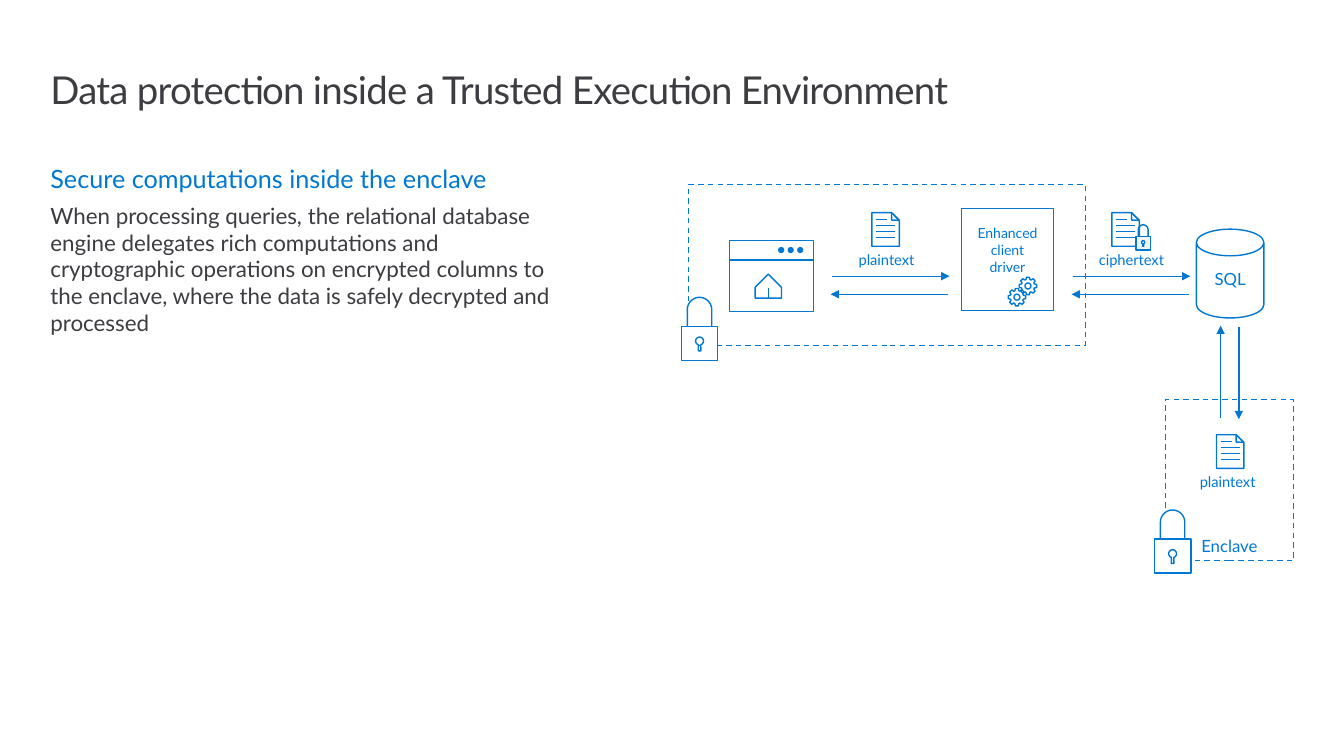
from math import cos, pi, sin

from lxml.etree import SubElement
from pptx import Presentation
from pptx.dml.color import RGBColor
from pptx.enum.dml import MSO_LINE
from pptx.enum.shapes import MSO_CONNECTOR, MSO_SHAPE
from pptx.enum.text import MSO_ANCHOR, PP_ALIGN
from pptx.oxml.ns import qn
from pptx.util import Pt

COLORS = {
    "line": "0078D3",
    "label": "0078D7",
    "ink": "3C3C41",
    "white": "FFFFFF",
    "pale": "F2F2F2",
}
FONT = "Lato"


def style(shape, fill=None, line="line"):
    shape.shadow.inherit = False
    if fill:
        shape.fill.solid()
        shape.fill.fore_color.rgb = RGBColor.from_string(COLORS[fill])
    else:
        shape.fill.background()
    if line:
        shape.line.color.rgb = RGBColor.from_string(COLORS[line])
        shape.line.width = Pt(1)
    else:
        shape.line.fill.background()


def arc(x, y, radius, start, end, steps=24):
    angles = [start + (end - start) * i / steps for i in range(steps + 1)]
    return [(x + radius * cos(a), y + radius * sin(a)) for a in angles]


deck = Presentation()
deck.slide_width, deck.slide_height = Pt(960), Pt(540)
page = deck.slides.add_slide(deck.slide_layouts[6])

documents = [(622.8, 151.9), (794.2, 151.9), (868.9, 310.5)]

presets = [
    ("client zone", MSO_SHAPE.RECTANGLE, 491.8, 131.8, 283.7, 115.2),
    ("driver", MSO_SHAPE.RECTANGLE, 686.9, 149, 65.5, 73),
    ("window", MSO_SHAPE.RECTANGLE, 521.3, 172, 59.8, 50.4),
    ("database", MSO_SHAPE.CAN, 854.6, 163.7, 48.2, 63.4),
    ("enclave", MSO_SHAPE.RECTANGLE, 832.5, 285.4, 91.4, 115.2),
]
for i in range(3):
    presets.append(("dot", MSO_SHAPE.OVAL, 555.8 + 6.8 * i, 176.4, 4.4, 4.4))
for x, y in documents:
    presets.append(("document", MSO_SHAPE.SNIP_1_RECTANGLE, x, y, 19.6, 24))
    presets.append(("fold", MSO_SHAPE.ISOSCELES_TRIANGLE, x + 11.5, y + 2.1, 7.9, 3.7))

shapes = {}
for name, kind, x, y, width, height in presets:
    shape = page.shapes.add_shape(kind, Pt(x), Pt(y), Pt(width), Pt(height))
    if name == "dot":
        style(shape, "line", None)
    else:
        style(shape)
    if name in ("client zone", "enclave"):
        shape.line.dash_style = MSO_LINE.DASH
    elif name == "document":
        shape.adjustments[0] = 0.287
    elif name == "fold":
        shape.rotation = 225
    elif name == "database":
        shape.adjustments[0] = 0.395
    shapes[name] = shape

lines = [
    (521.3, 185.8, 581.1, 185.8, False),
    (549, 206, 549, 213, False),
    (884.9, 233.3, 884.9, 299.5, True),
    (871.9, 298.8, 871.9, 232.6, True),
]
for x in (594, 766.1):
    lines.append((x, 197.3, x + 84.2, 197.3, True))
    lines.append((x + 83.5, 210.2, x - 0.7, 210.2, True))
for x, y in documents:
    for i in range(4):
        row = y + 5 + 4.3 * i
        lines.append((x + 2.9, row, x + (16.5 if i else 10.8), row, False))

for x1, y1, x2, y2, arrow in lines:
    line = page.shapes.add_connector(MSO_CONNECTOR.STRAIGHT, Pt(x1), Pt(y1), Pt(x2), Pt(y2))
    line.line.color.rgb = RGBColor.from_string(COLORS["line"])
    line.line.width = Pt(1)
    if arrow:
        SubElement(line.line._get_or_add_ln(), qn("a:tailEnd"), type="triangle")
    SubElement(line._element.spPr, qn("a:effectLst"))

house = [(539.4, 213), (539.4, 205.2), (548.8, 195.8), (558.2, 205.2), (558.2, 213)]
outlines = [(None, "line", True, [house])]

for x, y in [(734.3, 204.3), (726.4, 212.3)]:
    teeth = []
    for i in range(8):
        for radius, turn in [(4.8, -0.3), (6.3, -0.17), (6.3, 0.17), (4.8, 0.3)]:
            angle = i * pi / 4 + turn
            teeth.append((x + radius * cos(angle), y + radius * sin(angle)))
    outlines.append((None, "label", True, [teeth, arc(x, y, 2.1, 0, 2 * pi)]))

locks = [
    (486.7, 212.4, 1, "white", "white"),
    (824.6, 364.3, 1, "white", "white"),
    (811.4, 160.6, 0.4, None, "pale"),
]
for x, y, scale, shackle_fill, body_fill in locks:
    shackle = [(4.3, 28.1)] + arc(13, 8.7, 8.7, pi, 2 * pi) + [(21.7, 28.1)]
    body = [(0, 20.7), (26, 20.7), (26, 45), (0, 45)]
    keyhole = arc(13, 31.2, 2.8, 0.6 * pi, 2.4 * pi) + [(13.9, 38.2), (12.1, 38.2)]
    for fill, closed, contours in [
        (shackle_fill, False, [shackle]),
        (body_fill, True, [body, keyhole]),
    ]:
        placed = [[(x + scale * a, y + scale * b) for a, b in part] for part in contours]
        outlines.append((fill, "line", closed, placed))

for fill, line, closed, contours in outlines:
    contours = [[(Pt(a), Pt(b)) for a, b in part] for part in contours]
    builder = page.shapes.build_freeform(*contours[0][0])
    for number, points in enumerate(contours):
        if number:
            builder.move_to(*points[0])
        builder.add_line_segments(points[1:], close=closed)
    style(builder.convert_to_shape(), fill, line)

boxes = [
    ("title", 36, 43.9, 889.9, 64.1),
    ("body", 36, 109.4, 380.2, 144),
    ("sent", 603.2, 175.7, 60, 20.9),
    ("encrypted", 776.2, 175.7, 64, 20.9),
    ("decrypted", 846.9, 334.1, 60, 20.9),
]
for name, x, y, width, height in boxes:
    shapes[name] = page.shapes.add_textbox(Pt(x), Pt(y), Pt(width), Pt(height))

LEFT, CENTER = PP_ALIGN.LEFT, PP_ALIGN.CENTER
TOP, MIDDLE, BOTTOM = MSO_ANCHOR.TOP, MSO_ANCHOR.MIDDLE, MSO_ANCHOR.BOTTOM
wide, usual = (0, 7.2, 11.5, 7.2), (7.2, 3.6, 7.2, 3.6)
heading = "Secure computations inside the enclave"
description = (
    "When processing queries, the relational database engine delegates rich "
    "computations and cryptographic operations on encrypted columns to the enclave, "
    "where the data is safely decrypted and processed"
)
texts = [
    ("title", TOP, wide, LEFT, 0.9,
     [("Data protection inside a Trusted Execution Environment", 27.4, "ink")]),
    ("body", TOP, wide, LEFT, 1, [(heading, 18, "line"), (description, 16, "ink")]),
    ("sent", TOP, usual, CENTER, 1, [("plaintext", 10.5, "label")]),
    ("encrypted", TOP, usual, CENTER, 1, [("ciphertext", 10.5, "label")]),
    ("decrypted", TOP, usual, CENTER, 1, [("plaintext", 10.5, "label")]),
    ("driver", MIDDLE, (7.2, 0, 7.2, 14.4), CENTER, 1,
     [("Enhanced client\vdriver", 10, "label")]),
    ("database", MIDDLE, (0, 11.5, 0, 11.5), CENTER, 0.9, [("SQL", 12, "label")]),
    ("enclave", BOTTOM, usual, CENTER, 1, [("Enclave", 12, "label")]),
]
for name, anchor, margins, align, spacing, paragraphs in texts:
    frame = shapes[name].text_frame
    frame.word_wrap = name not in ("sent", "encrypted", "decrypted")
    frame.vertical_anchor = anchor
    frame.margin_left, frame.margin_top, frame.margin_right, frame.margin_bottom = map(Pt, margins)
    for number, (text, size, color) in enumerate(paragraphs):
        para = frame.add_paragraph() if number else frame.paragraphs[0]
        para.text = text
        para.alignment = align
        para.line_spacing = spacing
        if name == "body":
            para.space_after = Pt(6)
        para.font.name = FONT
        para.font.size = Pt(size)
        para.font.color.rgb = RGBColor.from_string(COLORS[color])
        if name == "title":
            para._p.pPr.find(qn("a:defRPr")).set("spc", "-50")

deck.save("out.pptx")
